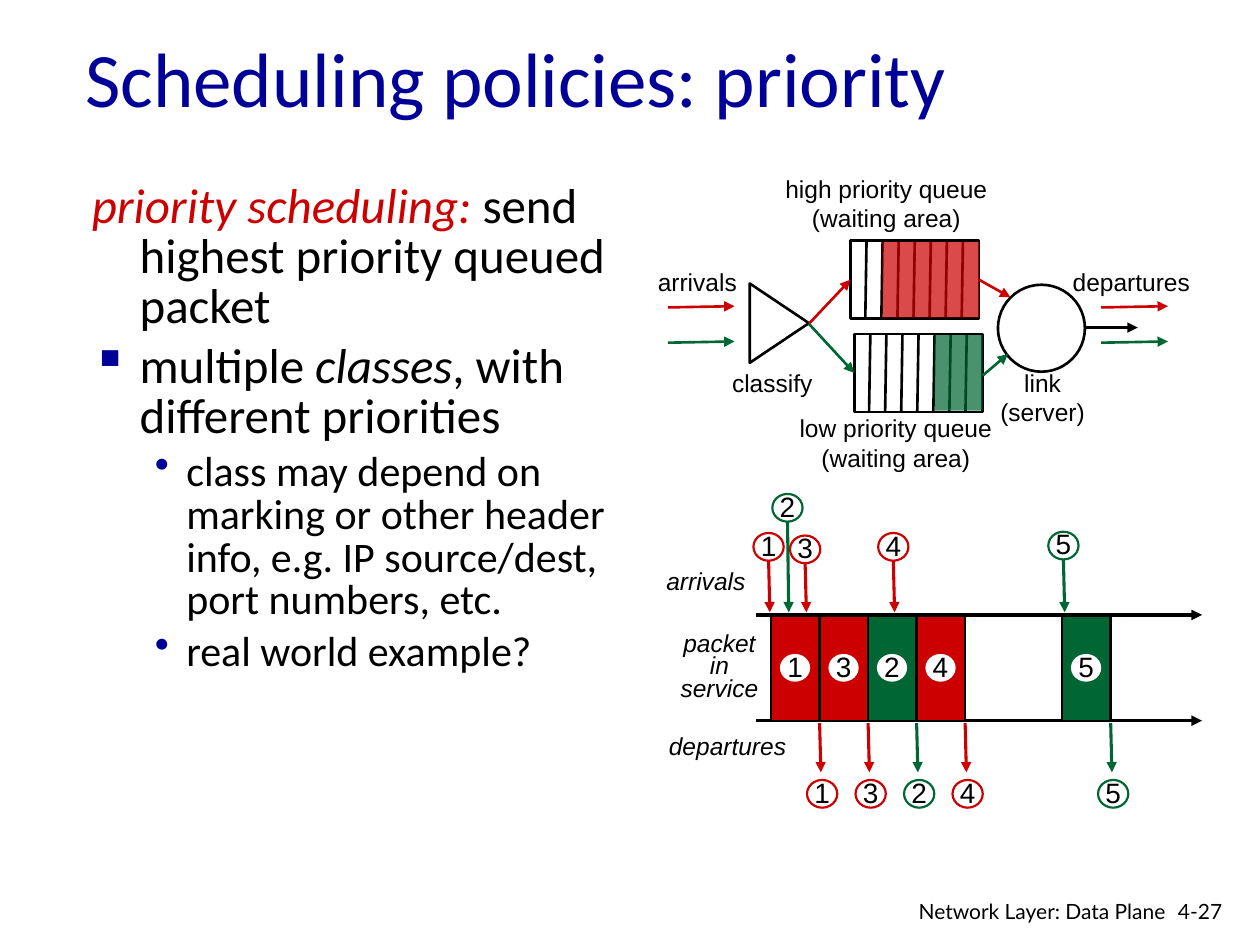
import pptx
import pptx.util
import pptx.dml.color
import pptx.enum.shapes
import pptx.enum.text
import pptx.oxml
import pptx.oxml.ns
from lxml import etree

RGB = pptx.dml.color.RGBColor
BLACK, WHITE = RGB(0, 0, 0), RGB(255, 255, 255)
NAVY, RED, GREEN = RGB(0, 0, 0x99), RGB(0xCC, 0, 0), RGB(0, 0x66, 0x33)

SHAPE = pptx.enum.shapes.MSO_SHAPE
ALIGN = pptx.enum.text.PP_ALIGN
ANCHOR = pptx.enum.text.MSO_ANCHOR
Pt = pptx.util.Pt
qn = pptx.oxml.ns.qn


def px(n):
    """Turn px (100 to the inch) into EMU."""
    return pptx.util.Emu(round(n * 9144))


def write(tf, paras, size=14, font="Arial", color=BLACK, italic=False,
          align=ALIGN.LEFT, spacing=None, wrap=False, anchor=ANCHOR.TOP):
    """Fill a text frame; a paragraph is a string or a list of (text, italic, color)."""
    tf.word_wrap = wrap
    tf.vertical_anchor = anchor
    for i, runs in enumerate(paras):
        p = tf.paragraphs[0] if i == 0 else tf.add_paragraph()
        p.alignment = align
        if spacing:
            p.line_spacing = spacing
        if isinstance(runs, str):
            runs = [(runs, italic, color)]
        for text, slant, tint in runs:
            r = p.add_run()
            r.text = text
            r.font.size, r.font.name = Pt(size), font
            r.font.italic = slant
            r.font.color.rgb = tint
    return tf


def add_text(s, x, y, w, h, paras, **fmt):
    box = s.shapes.add_textbox(px(x), px(y), px(w), px(h))
    return write(box.text_frame, paras, **fmt)


def add_shape(s, kind, x, y, w, h, fill=None, line=None, width=1.5, alpha=None):
    sp = s.shapes.add_shape(kind, px(x), px(y), px(w), px(h))
    sp.shadow.inherit = False
    if fill is None:
        sp.fill.background()
    else:
        sp.fill.solid()
        sp.fill.fore_color.rgb = fill
    if alpha:
        clr = sp.fill._xPr.find(qn("a:solidFill"))[0]
        etree.SubElement(clr, qn("a:alpha")).set("val", str(alpha * 1000))
    if line is None:
        sp.line.fill.background()
    else:
        sp.line.color.rgb = line
        sp.line.width = Pt(width)
    return sp


def add_line(s, x1, y1, x2, y2, color=BLACK, width=1.5, arrow=True):
    c = s.shapes.add_connector(pptx.enum.shapes.MSO_CONNECTOR.STRAIGHT,
                               px(x1), px(y1), px(x2), px(y2))
    c.line.color.rgb = color
    c.line.width = Pt(width)
    if arrow:
        etree.SubElement(c.line._get_or_add_ln(), qn("a:tailEnd")).set("type", "triangle")
    etree.SubElement(c._element.spPr, qn("a:effectLst"))


def add_number(s, x, y, number, line=None):
    """White oval with a packet number."""
    sp = add_shape(s, SHAPE.OVAL, x, y, 24, 22, WHITE, line, 1.25)
    tf = write(sp.text_frame, [number], size=16, align=ALIGN.CENTER, anchor=ANCHOR.MIDDLE)
    tf.margin_left = tf.margin_right = tf.margin_top = 0
    tf.margin_bottom = px(3)


def set_indent(p, left, hanging, bullet=None):
    pPr = p._p.get_or_add_pPr()
    pPr.set("marL", str(px(left)))
    pPr.set("indent", str(-px(hanging)))
    if bullet:
        clr = etree.SubElement(pPr, qn("a:buClr"))
        etree.SubElement(clr, qn("a:srgbClr")).set("val", str(NAVY))
        etree.SubElement(pPr, qn("a:buChar")).set("char", bullet)
    else:
        etree.SubElement(pPr, qn("a:buNone"))


def body(s, x, y, w, h):
    levels = [(28, 38, 38, None), (28, 38, 38, "▪"), (24, 75, 25, "•"), (24, 75, 25, "•")]
    paras = [
        [("priority scheduling: ", True, RED),
         ("send highest priority queued packet", False, BLACK)],
        [("multiple ", False, BLACK), ("classes", True, BLACK),
         (", with different priorities", False, BLACK)],
        "class may depend on marking or other header info, "
        "e.g. IP source/dest, port numbers, etc.",
        "real world example?",
    ]
    tf = add_text(s, x, y, w, h, paras, font="Calibri", spacing=0.85, wrap=True)
    for i, (p, (size, left, hanging, bullet)) in enumerate(zip(tf.paragraphs, levels)):
        if i:
            p.space_before = Pt(size * 0.2)
        set_indent(p, left, hanging, bullet)
        for r in p.runs:
            r.font.size = Pt(size)


def queue(s, x, y, w, h, first_full, color):
    """Eight-cell buffer, filled from cell first_full to its right end."""
    cell = w / 8
    add_shape(s, SHAPE.RECTANGLE, x, y, w, h, line=BLACK)
    for i in range(1, 8):
        add_line(s, x + i * cell, y + 1, x + i * cell - 1, y + h, arrow=False)
    add_shape(s, SHAPE.RECTANGLE, x + first_full * cell, y + 1,
              (8 - first_full) * cell, h - 2, color, alpha=71)


def queue_diagram(s, x, y):
    queue(s, x + 166, y + 132, 102, 62, 5, GREEN)
    queue(s, x + 163, y + 58, 102, 62, 2, RED)
    # classifier and server
    add_shape(s, SHAPE.ISOSCELES_TRIANGLE, x + 75, y + 100, 63, 47, line=BLACK).rotation = 90
    add_shape(s, SHAPE.OVAL, x + 280, y + 93, 69, 69, line=BLACK)
    # flows
    flows = [(130, 124, 163, 89, RED), (130, 124, 166, 163, GREEN),
             (265, 89, 290, 103, RED), (268, 165, 288, 148, GREEN),
             (348, 127, 391, 127, BLACK)]
    for left in (18, 362):
        flows += [(left, 111, left + 53, 110, RED), (left, 139, left + 53, 138, GREEN)]
    for x1, y1, x2, y2, color in flows:
        add_line(s, x + x1, y + y1, x + x2, y + y2, color)
    # labels
    for left, top, w, h, *lines in [
            (98, 0, 187, 57, "high priority queue", "(waiting area)"),
            (112, 190, 174, 57, "low priority queue", "(waiting area)"),
            (0, 74, 83, 34, "arrivals"),
            (58, 154, 86, 34, "classify"),
            (329, 74, 114, 34, "departures"),
            (269, 154, 93, 57, "link", "(server)")]:
        add_text(s, x + left, y + top, w, h, lines, align=ALIGN.CENTER)


def timeline(s, x, y):
    # number, colour, arrival x, top of arrival number, service slot
    packets = [("1", RED, 91, 31, 0), ("3", RED, 120, 33, 1), ("2", GREEN, 106, 0, 2),
               ("4", RED, 190, 31, 3), ("5", GREEN, 325, 30, 6)]
    slot_w = 38.5
    for axis in (96, 180):
        add_line(s, x + 81, y + axis, x + 435, y + axis, width=2)
    for number, color, arrival, top, slot in packets:
        # packet in service
        left = x + 93 + slot * slot_w
        add_shape(s, SHAPE.RECTANGLE, left, y + 97, slot_w, 83, color, BLACK, 1.25)
        add_number(s, left + 7, y + 127, number)
        # arrival
        add_line(s, x + arrival, y + top + 22, x + arrival + 1, y + 94, color, 1.75)
        add_number(s, x + arrival - 12, y + top, number, color)
        # departure
        end = left + slot_w
        add_line(s, end, y + 182, end + 1, y + 221, color, 1.75)
        add_number(s, end - 10, y + 227, number, color)
    # labels
    add_text(s, x, y + 52, 88, 34, ["arrivals"], italic=True)
    add_text(s, x + 2, y + 183, 119, 34, ["departures"], italic=True)
    add_text(s, x + 5, y + 107, 94, 65, ["packet in service"], italic=True,
             align=ALIGN.CENTER, spacing=Pt(12.8), wrap=True)


def footer(s, x, y):
    fmt = {"size": 12, "font": "Lato", "wrap": True}
    add_text(s, x, y, 238, 26, ["Network Layer: Data Plane"], align=ALIGN.RIGHT, **fmt)
    add_text(s, x + 228, y, 61, 30, ["4-27"], **fmt)


def main():
    prs = pptx.Presentation()
    prs.slide_width, prs.slide_height = px(1000), px(750)
    s = prs.slides.add_slide(prs.slide_layouts[6])
    add_text(s, 58, -2, 850, 125, ["Scheduling policies: priority"], size=44,
             font="Calibri", color=NAVY, wrap=True, anchor=ANCHOR.MIDDLE)
    body(s, 63, 141, 441, 558)
    queue_diagram(s, 512, 133)
    timeline(s, 519, 392)
    footer(s, 697, 708)
    prs.save("out.pptx")


if __name__ == "__main__":
    main()
